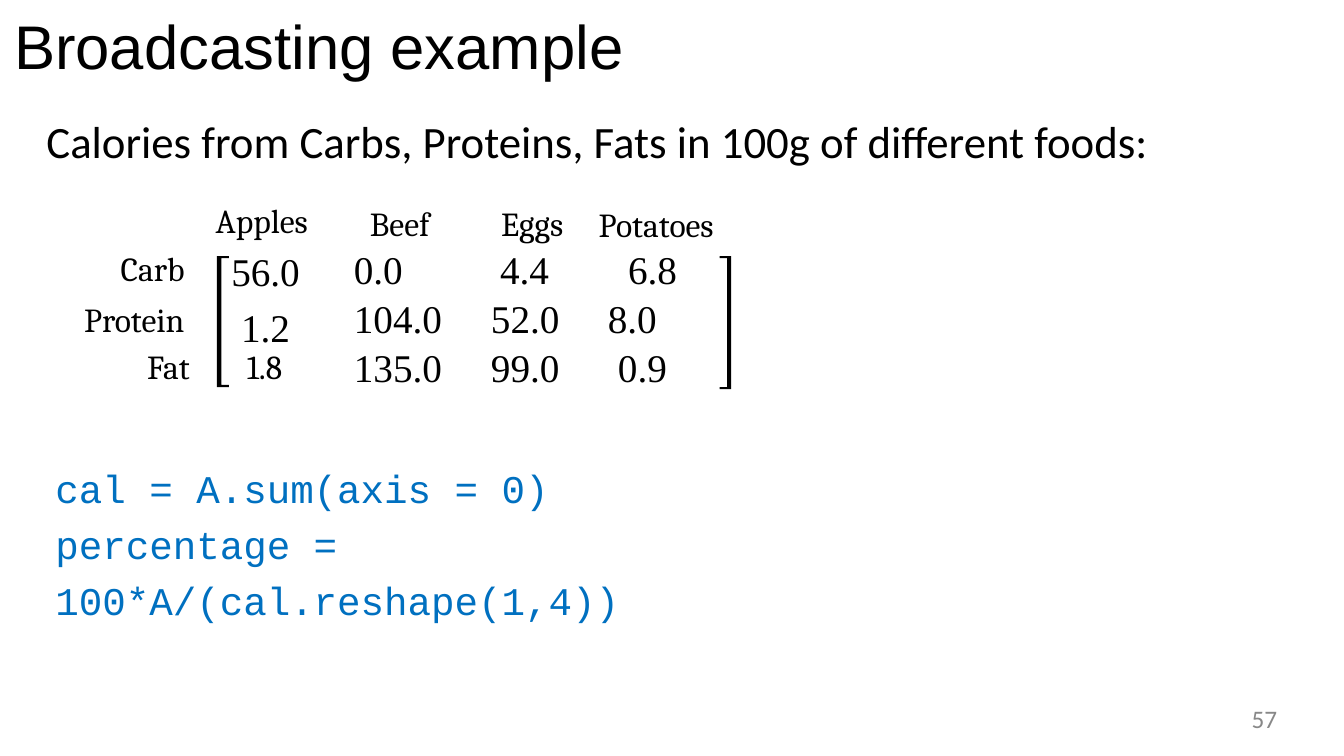
from lxml import etree
from pptx import Presentation, util as u
from pptx.dml.color import RGBColor
from pptx.enum import text
from pptx.oxml import ns

BLACK = RGBColor(0x00, 0x00, 0x00)
BLUE = RGBColor(0x00, 0x70, 0xC0)
GRAY = RGBColor(0x88, 0x88, 0x88)
LEFT, CENTER, RIGHT = (text.PP_ALIGN.LEFT, text.PP_ALIGN.CENTER,
                       text.PP_ALIGN.RIGHT)
WIDTH, HEIGHT = u.Inches(13.33), u.Inches(7.5)
LABEL = ("Cambria", 24)
NUMBER = ("Times New Roman", 28)


def across(percent):
    return round(WIDTH * percent / 100)


def down(percent):
    return round(HEIGHT * percent / 100)


def set_tabs(paragraph, stops):
    properties = paragraph._p.get_or_add_pPr()
    tabs = etree.SubElement(properties, ns.qn("a:tabLst"))
    for stop in stops:
        etree.SubElement(tabs, ns.qn("a:tab"), pos=str(across(stop)), algn="l")


def add_text(slide, box, lines, font, color=BLACK, align=LEFT,
             spacing=None, tabs=()):
    left, top, width, height = box
    shape = slide.shapes.add_textbox(across(left), down(top),
                                     across(width), down(height))
    frame = shape.text_frame
    frame.word_wrap = True
    frame.margin_left = frame.margin_right = frame.margin_bottom = 0
    frame.margin_top = u.Inches(0.01)
    for index, line in enumerate(lines):
        paragraph = frame.paragraphs[0] if index == 0 else frame.add_paragraph()
        paragraph.alignment = align
        if spacing:
            paragraph.line_spacing = spacing
        if tabs:
            set_tabs(paragraph, tabs[index])
        run = paragraph.add_run()
        run.text = line
        run.font.name, run.font.size = font[0], u.Pt(font[1])
        run.font.color.rgb = color


def add_bracket(slide, spine, tip, stroke, top, height):
    bar = 0.27
    inner = spine + stroke if tip > spine else spine - stroke
    bottom = top + height
    points = [(spine, top), (tip, top), (tip, top + bar), (inner, top + bar),
              (inner, bottom - bar), (tip, bottom - bar), (tip, bottom),
              (spine, bottom)]
    corners = [(across(x), down(y)) for x, y in points]
    builder = slide.shapes.build_freeform(*corners[0])
    builder.add_line_segments(corners[1:], close=True)
    shape = builder.convert_to_shape()
    shape.shadow.inherit = False
    shape.fill.solid()
    shape.fill.fore_color.rgb = BLACK
    shape.line.fill.background()


def add_matrix(slide):
    add_text(slide, (16.05, 26.27, 8.1, 5.73), ["Apples"], LABEL)
    add_text(slide, (27.53, 26.67, 16, 5.73), ["Beef\tEggs"], LABEL,
             tabs=[(9.75,)])
    add_text(slide, (44.55, 26.8, 10.1, 5.73), ["Potatoes"], LABEL)
    add_text(slide, (5.4, 31.2, 8.33, 14), ["Carb", "Protein"], LABEL,
             align=RIGHT, spacing=1.27)
    add_text(slide, (10.95, 45.6, 12.15, 5.6), ["Fat\t1.8"], LABEL,
             tabs=[(7.42,)])
    add_text(slide, (15.75, 31.47, 8.02, 15.07), ["56.0", "1.2"], NUMBER,
             align=CENTER, spacing=1.18)
    add_text(slide, (26.33, 32.13, 49.35, 30.13),
             ["0.0\t4.4\t6.8", "104.0\t52.0\t8.0", "135.0\t99.0\t0.9"],
             NUMBER, spacing=1.04,
             tabs=[(10.88, 20.4), (10.2, 18.9), (10.2, 19.65)])
    add_bracket(slide, 16.13, 17.03, 0.35, 33.87, 17.33)
    add_bracket(slide, 54.4, 53.55, 0.3, 33.87, 17.6)


def main():
    presentation = Presentation()
    presentation.slide_width, presentation.slide_height = WIDTH, HEIGHT
    slide = presentation.slides.add_slide(presentation.slide_layouts[6])
    add_text(slide, (1.05, 0.93, 47.25, 10.13), ["Broadcasting example"],
             ("Arial", 44))
    add_text(slide, (3.45, 14.93, 82.5, 7.47),
             ["Calories from Carbs, Proteins, Fats in 100g of different foods:"],
             ("Calibri", 32))
    add_matrix(slide)
    add_text(slide, (4.12, 60.13, 64, 12.8),
             ["cal = A.sum(axis = 0)", "percentage = 100*A/(cal.reshape(1,4))"],
             ("Courier New", 28), BLUE, spacing=1.19)
    add_text(slide, (72, 92.93, 23.03, 5.07), ["57"], ("Calibri", 18), GRAY,
             align=RIGHT)
    presentation.save("out.pptx")


if __name__ == "__main__":
    main()
